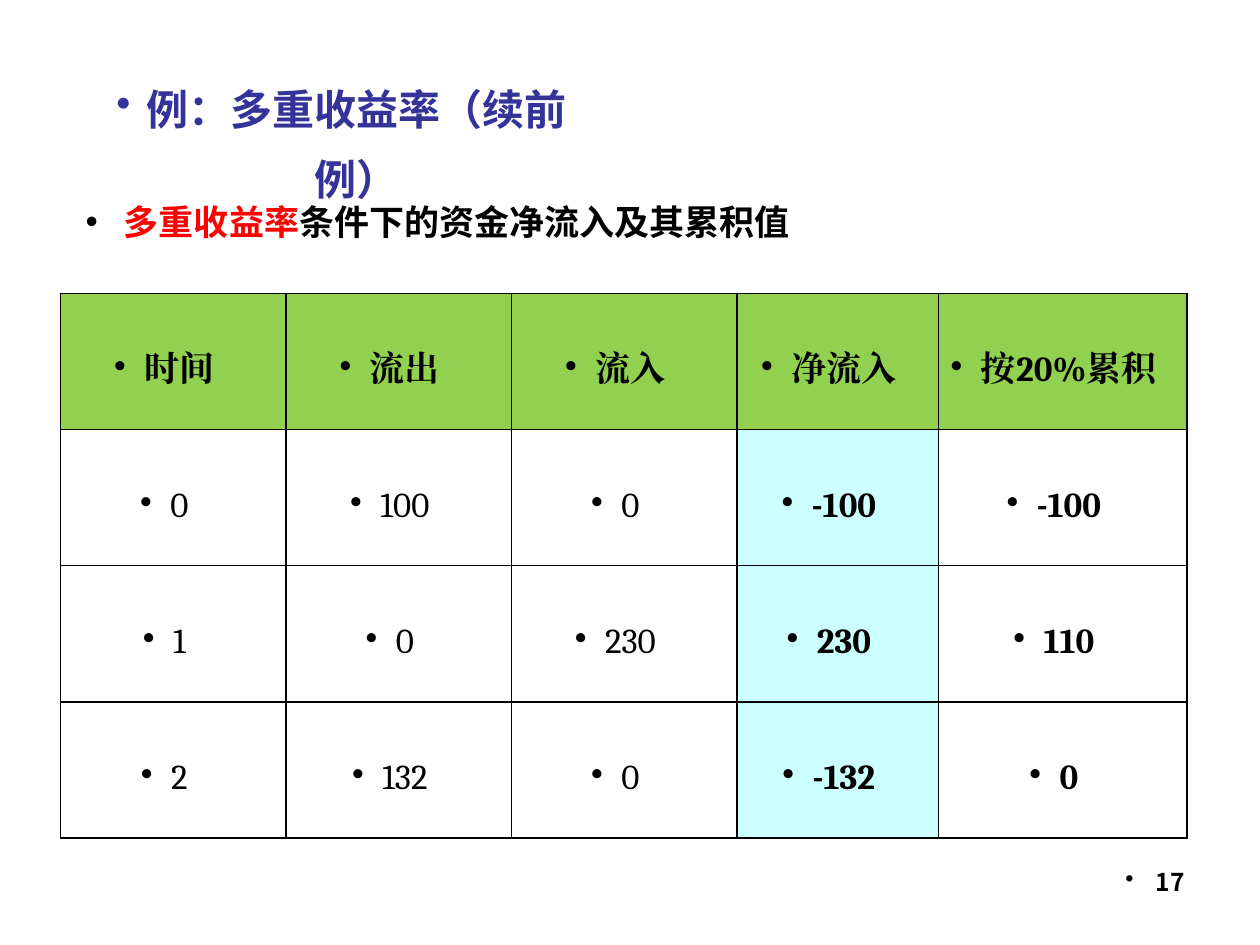
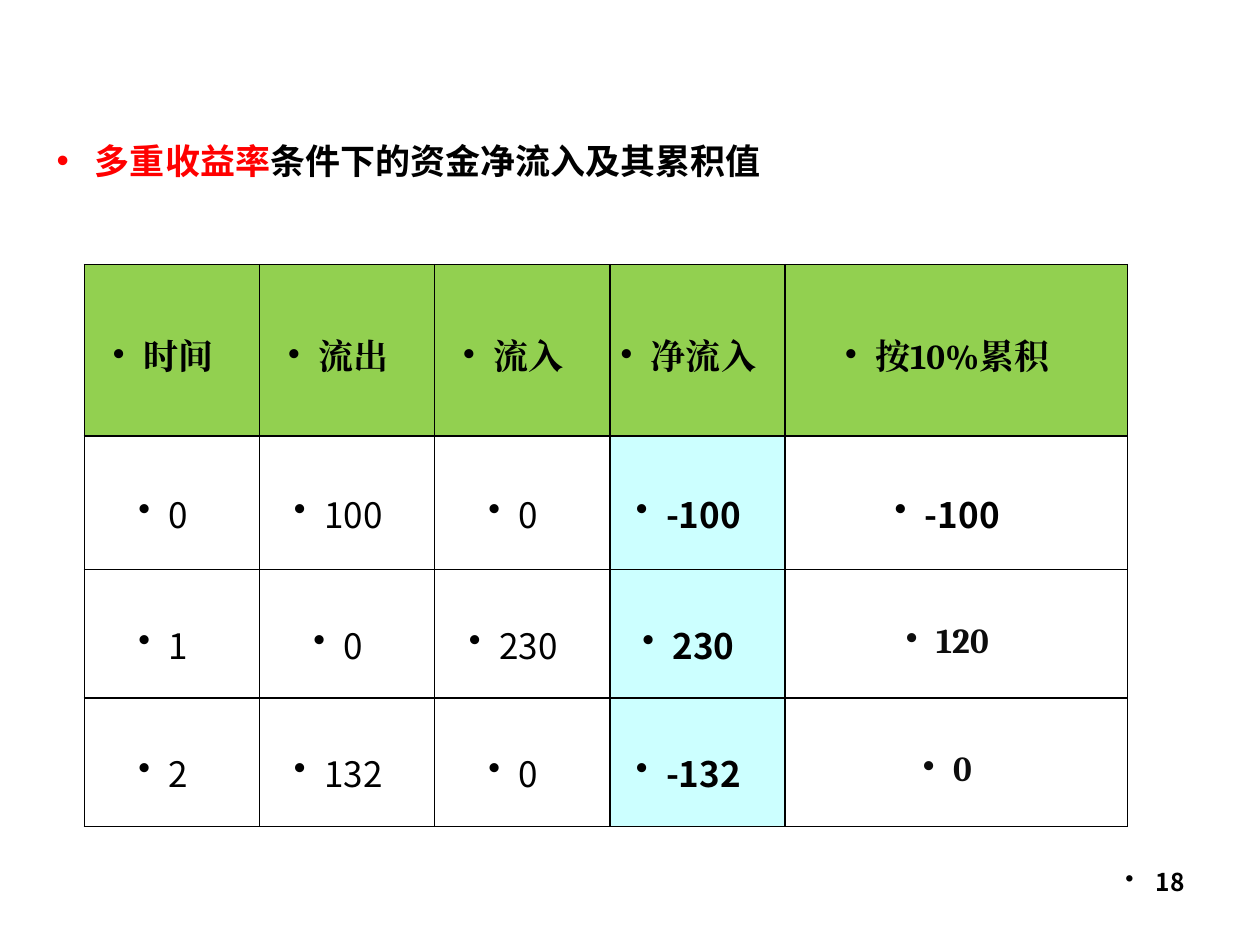
import pptx
import pptx.dml.color
import pptx.enum.text
import pptx.oxml
import pptx.oxml.ns
import pptx.util
from pptx.util import Inches, Pt

RGBColor = pptx.dml.color.RGBColor
ALIGN = pptx.enum.text.PP_ALIGN
ANCHOR = pptx.enum.text.MSO_ANCHOR
GROW = pptx.enum.text.MSO_AUTO_SIZE.SHAPE_TO_FIT_TEXT

BLACK = RGBColor(0x00, 0x00, 0x00)
NEAR_BLACK = RGBColor(0x0D, 0x0D, 0x0D)
RED = RGBColor(0xFF, 0x00, 0x00)
TITLE_BLUE = RGBColor(0x33, 0x33, 0x99)
HEADER_GREEN = RGBColor(0x92, 0xD0, 0x50)
NET_CYAN = RGBColor(0xCC, 0xFF, 0xFF)
SANS, SERIF = "Noto Sans CJK SC", "Cambria"

HANGING = 0.24
CELL_MARGIN = 0.08
NET_COLUMN = 3
TITLE_BOX = (0.58, 0.81, 4.26, 0.5)
NUMBER_BOX = (7.17, 6.83, 2.33, 0.52)

TOPIC = "多重收益率"
REST = "条件下的资金净流入及其累积值"
HEADINGS = ["时间", "流出", "流入", "净流入"]
CASH_FLOWS = [("0", "100", "0", "-100"), ("1", "0", "230", "230"), ("2", "132", "0", "-132")]

SLIDES = [
    {
        "number": "17",
        "title": "例：多重收益率（续前例）",
        "lead_box": (0.58, 1.41, 9.13, 0.57),
        "lead": [(" ", BLACK), (TOPIC, RED), (REST, BLACK)],
        "table_at": (0.48, 2.33),
        "columns": [1.79, 1.79, 1.79, 1.6, 1.97],
        "rows": [1.08] * 4,
        "accumulated": ["按20%累积", "-100", "110", "0"],
        "body_font": SERIF,
        "special_cells": {},
    },
    {
        "number": "18",
        "title": None,
        "lead_box": (0.35, 0.92, 9.06, 0.57),
        "lead": [(" " + TOPIC, RED), (REST, BLACK)],
        "table_at": (0.67, 2.1),
        "columns": [1.39] * 4 + [2.72],
        "rows": [1.36, 1.06, 1.02, 1.02],
        "accumulated": ["按10%累积", "-100", "120", "0"],
        "body_font": SANS,
        "special_cells": {(2, 4): (SERIF, NEAR_BLACK), (3, 4): (SERIF, NEAR_BLACK)},
    },
]


def place(shape, box):
    for name, value in zip(("left", "top", "width", "height"), box):
        setattr(shape, name, Inches(value))


def add_span(para, text, color, **formats):
    span = para.add_run()
    span.text = text
    for name, value in formats.items():
        setattr(span.font, name, value)
    span.font.color.rgb = color
    east_asian = pptx.oxml.parse_xml(
        f'<a:ea {pptx.oxml.ns.nsdecls("a")} typeface="{formats["name"]}"/>')
    span.font._element.find(pptx.oxml.ns.qn("a:latin")).addnext(east_asian)


def write_bullet(frame, spans, align, spacing=1.4, margin=HANGING, **formats):
    """Fill the first paragraph of frame with (text, color) spans behind a bullet."""
    para = frame.paragraphs[0]
    properties = para._p.get_or_add_pPr()
    properties.set("marL", str(Inches(margin)))
    properties.set("indent", str(-Inches(HANGING)))
    properties.append(pptx.oxml.parse_xml(
        f'<a:buChar {pptx.oxml.ns.nsdecls("a")} char="•"/>'))
    settings = {"alignment": align, "line_spacing": spacing, "space_before": Pt(0)}
    for name, value in settings.items():
        setattr(para, name, value)
    for text, color in spans:
        add_span(para, text, color, **formats)


def add_borders(cell):
    properties = cell._tc.get_or_add_tcPr()
    for position, side in enumerate(("lnL", "lnR", "lnT", "lnB")):
        properties.insert(position, pptx.oxml.parse_xml(
            f'<a:{side} {pptx.oxml.ns.nsdecls("a")} w="{Pt(1)}">'
            f'<a:solidFill><a:srgbClr val="{BLACK}"/></a:solidFill></a:{side}>'))


def add_title(page, title):
    shape = page.shapes.title
    if title is None:
        shape.element.getparent().remove(shape.element)
        return
    place(shape, TITLE_BOX)
    frame = shape.text_frame
    frame.word_wrap = True
    frame.auto_size = GROW
    frame.vertical_anchor = ANCHOR.MIDDLE
    write_bullet(frame, [(title, TITLE_BLUE)], ALIGN.CENTER,
                 name=SANS, size=Pt(24), bold=True)


def add_lead(page, content):
    shape = page.placeholders[1]
    place(shape, content["lead_box"])
    shape.text_frame.auto_size = GROW
    write_bullet(shape.text_frame, content["lead"], ALIGN.LEFT,
                 name=SANS, size=Pt(20), bold=True)


def add_flow_table(page, content):
    widths, heights = content["columns"], content["rows"]
    lines = [(*flows, total)
             for flows, total in zip([HEADINGS, *CASH_FLOWS], content["accumulated"])]
    box = (*content["table_at"], sum(widths), sum(heights))
    table = page.shapes.add_table(len(heights), len(widths), *map(Inches, box)).table
    table.first_row = table.horz_banding = False
    for column, width in zip(table.columns, widths):
        column.width = Inches(width)
    for row, height in zip(table.rows, heights):
        row.height = Inches(height)

    margins = {"margin_left": 0.07, "margin_right": 0.07, "margin_top": 0, "margin_bottom": 0}
    for r, line in enumerate(lines):
        for c, text in enumerate(line):
            cell = table.cell(r, c)
            for name, value in margins.items():
                setattr(cell, name, Inches(value))
            cell.vertical_anchor = ANCHOR.MIDDLE
            if r == 0 or c == NET_COLUMN:
                cell.fill.solid()
                cell.fill.fore_color.rgb = HEADER_GREEN if r == 0 else NET_CYAN
            else:
                cell.fill.background()
            add_borders(cell)
            usual = (SERIF if r == 0 else content["body_font"], BLACK)
            font, color = content["special_cells"].get((r, c), usual)
            write_bullet(cell.text_frame, [(text, color)], ALIGN.CENTER, margin=CELL_MARGIN,
                         name=font, size=Pt(20), bold=r == 0 or c >= NET_COLUMN)


def add_page_number(page, number):
    box = page.shapes.add_textbox(*map(Inches, NUMBER_BOX))
    box.text_frame.word_wrap = True
    write_bullet(box.text_frame, [(number, BLACK)], ALIGN.RIGHT, spacing=1.0,
                 name=SANS, size=Pt(14), bold=True)


def main():
    deck = pptx.Presentation()
    deck.slide_width, deck.slide_height = Inches(10), Inches(7.5)
    for content in SLIDES:
        page = deck.slides.add_slide(deck.slide_layouts[1])
        add_title(page, content["title"])
        add_lead(page, content)
        add_flow_table(page, content)
        add_page_number(page, content["number"])
    deck.save("out.pptx")


if __name__ == "__main__":
    main()
